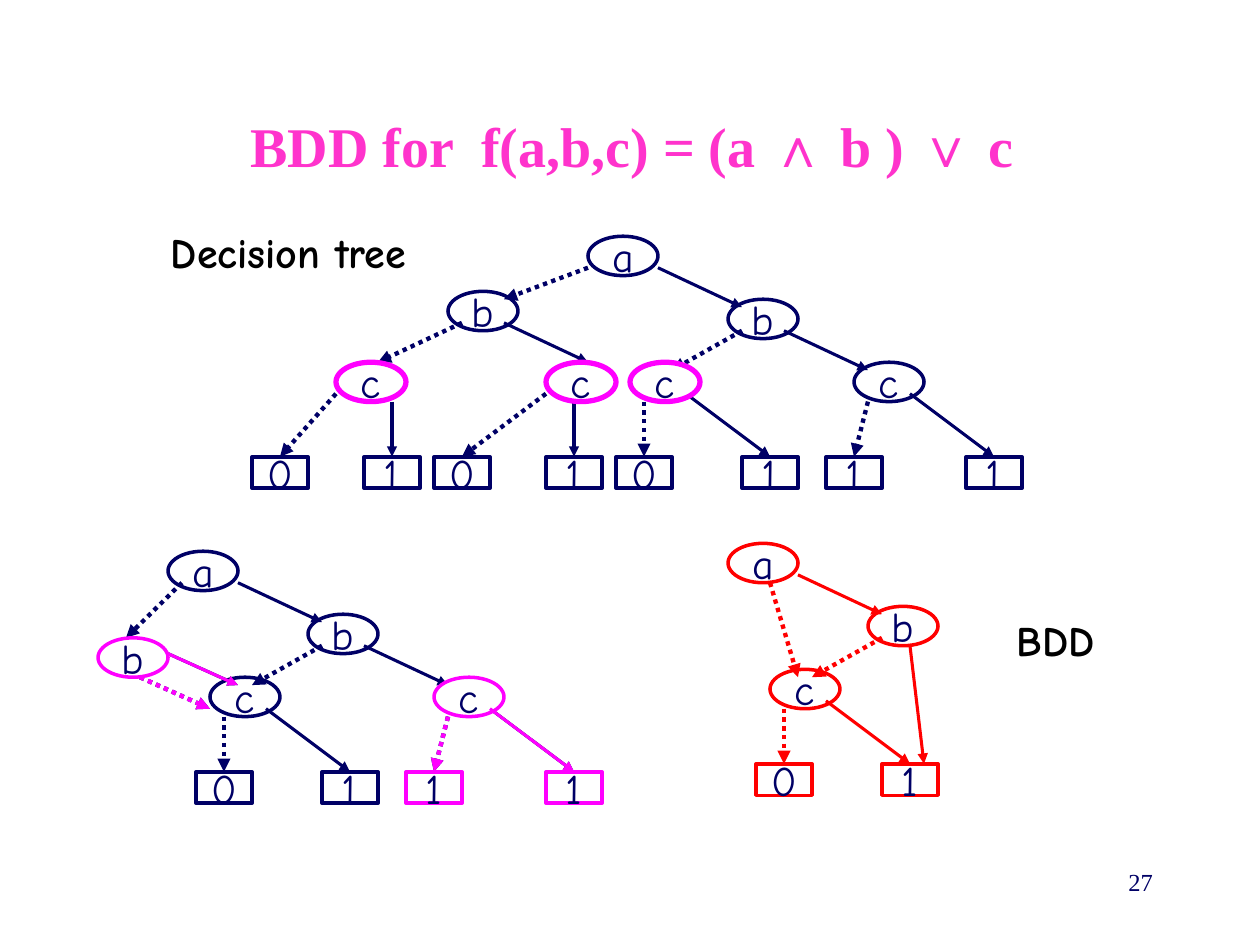
from lxml import etree
from pptx import Presentation
from pptx.dml.color import RGBColor
from pptx.enum.dml import MSO_LINE
from pptx.enum.shapes import MSO_CONNECTOR, MSO_SHAPE
from pptx.enum.text import MSO_ANCHOR, PP_ALIGN
from pptx.oxml.ns import qn
from pptx.util import Cm, Pt

OVAL, RECT = MSO_SHAPE.OVAL, MSO_SHAPE.RECTANGLE
STRAIGHT, DOTTED = MSO_CONNECTOR.STRAIGHT, MSO_LINE.ROUND_DOT
MIDDLE, TOP = MSO_ANCHOR.MIDDLE, MSO_ANCHOR.TOP
CENTER, RIGHT = PP_ALIGN.CENTER, PP_ALIGN.RIGHT

COLORS = {"navy": "000066", "magenta": "FF00FF", "red": "FF0000",
          "title": "FF33CC", "black": "000000", "white": "FFFFFF"}
HAND, SERIF, SANS = "Comic Neue", "Times New Roman", "Arial"

# Diagram grid: 9 columns and 16 rows to each 2.54 cm
COL, ROW = 2.54 / 9, 2.54 / 16
NODE_SIZE, LEAF_SIZE = (5, 5), (4, 4)
LEAF_ROW = 28


def rgb(name):
    return RGBColor.from_string(COLORS[name])


def add_run(p, text, font, size, color, bold=False):
    r = p.add_run()
    r.text = text
    r.font.name, r.font.size, r.font.bold = font, Pt(size), bold
    r.font.color.rgb = rgb(color)


def add_text(s, box, runs, size, color, align=CENTER, bold=False, anchor=TOP):
    tf = s.shapes.add_textbox(*(Cm(v) for v in box)).text_frame
    tf.word_wrap = True
    tf.vertical_anchor = anchor
    p = tf.paragraphs[0]
    p.alignment = align
    for text, font in runs:
        add_run(p, text, font, size, color, bold)


def add_node(s, kind, x, y, size, label, color, width):
    sp = s.shapes.add_shape(kind, Cm(x), Cm(y),
                            Cm(size[0] * COL), Cm(size[1] * ROW))
    sp.shadow.inherit = False
    sp.fill.solid()
    sp.fill.fore_color.rgb = rgb("white")
    sp.line.color.rgb = rgb(color)
    sp.line.width = Pt(width)
    tf = sp.text_frame
    tf.word_wrap = False
    tf.vertical_anchor = MIDDLE
    p = tf.paragraphs[0]
    p.alignment = CENTER
    add_run(p, label, HAND, 24, "navy")


def add_edge(s, x1, y1, x2, y2, color, dotted):
    line = s.shapes.add_connector(STRAIGHT, Cm(x1), Cm(y1), Cm(x2), Cm(y2))
    line.line.color.rgb = rgb(color)
    line.line.width = Pt(2.5 if dotted else 1.75)
    if dotted:
        line.line.dash_style = DOTTED
    etree.SubElement(line.line._get_or_add_ln(), qn("a:tailEnd"), type="triangle")
    etree.SubElement(line._element.spPr, qn("a:effectLst"))


def add_diagram(s, left, top, color, nodes, leaves=(), low=(), high=(), width=2):
    """Draw nodes (label, col, row), leaves (value, col) and edges
    (col, row, col, row); left and top are grid positions."""
    def at(col, row):
        return (left + col) * COL, (top + row) * ROW

    for label, col, row in nodes:
        add_node(s, OVAL, *at(col, row), NODE_SIZE, label, color, width)
    for value, col in leaves:
        add_node(s, RECT, *at(col, LEAF_ROW), LEAF_SIZE, value, color, width)
    for edges, dotted in ((low, True), (high, False)):
        for c1, r1, c2, r2 in edges:
            add_edge(s, *at(c1, r1), *at(c2, r2), color, dotted)


def decision_tree(s, left, top):
    add_diagram(
        s, left, top, "navy",
        nodes=[("a", 24, 0), ("b", 14, 7), ("b", 34, 8), ("c", 43, 16)],
        leaves=[("0", 0), ("1", 8), ("0", 13), ("1", 21),
                ("0", 26), ("1", 35), ("1", 41), ("1", 51)],
        low=[(24, 4, 18, 8), (15, 11, 9, 16), (6, 20, 2, 28), (21, 20, 15, 28),
             (35, 12, 30, 17), (28, 21, 28, 28), (44, 21, 43, 28)],
        high=[(18, 11, 24, 16), (10, 21, 10, 28), (23, 21, 23, 28),
              (29, 4, 35, 9), (38, 12, 44, 17), (31, 20, 37, 28),
              (47, 20, 53, 28)])
    # Equal subtrees to be merged
    add_diagram(s, left, top, "magenta", width=3,
                nodes=[("c", 6, 16), ("c", 21, 16), ("c", 27, 16)])


def reduced_tree(s, left, top):
    redundant_low = [(25, 21, 24, 28), (3, 16, 8, 20)]
    redundant_high = [(28, 20, 34, 28), (5, 13, 10, 17)]
    add_diagram(
        s, left, top, "navy",
        nodes=[("a", 5, 0), ("b", 15, 8), ("c", 8, 16)],
        leaves=[("0", 7), ("1", 16)],
        low=[(6, 4, 2, 11), (16, 12, 11, 17), (9, 21, 9, 28)] + redundant_low,
        high=[(10, 4, 16, 9), (19, 12, 25, 17), (12, 20, 18, 28)]
        + redundant_high)
    # Redundant tests to be removed
    add_diagram(s, left, top, "magenta",
                nodes=[("b", 0, 11), ("c", 24, 16)],
                leaves=[("1", 22), ("1", 32)],
                low=redundant_low, high=redundant_high)


def final_bdd(s, left, top):
    add_diagram(
        s, left, top, "red",
        nodes=[("a", 0, 0), ("b", 10, 8), ("c", 3, 16)],
        leaves=[("0", 2), ("1", 11)],
        low=[(3, 5, 5, 17), (11, 12, 6, 17), (4, 21, 4, 28)],
        high=[(5, 4, 11, 9), (7, 20, 13, 28), (13, 13, 14, 28)])


def main():
    prs = Presentation()
    prs.slide_width, prs.slide_height = Cm(25.4), Cm(19.05)
    s = prs.slides.add_slide(prs.slide_layouts[6])

    # Diagrams
    reduced_tree(s, 7, 70)
    decision_tree(s, 18, 30)
    final_bdd(s, 52, 69)

    # Title, labels and page number
    add_text(s, (1.98, 1.7, 21.51, 2.44),
             [("BDD for  f(a,b,c) = (a ", SERIF), ("∧", SANS), (" b ) ", SERIF),
              ("∨", SANS), (" c", SERIF)],
             32, "title", bold=True, anchor=MIDDLE)
    add_text(s, (2.74, 4.45, 6.15, 1.27), [("Decision tree", HAND)],
             24, "black", bold=True)
    add_text(s, (19.69, 12.27, 3.18, 1.27), [("BDD", HAND)],
             24, "black", bold=True)
    add_text(s, (18.21, 17.35, 5.28, 1.27), [("27", SERIF)],
             14, "navy", align=RIGHT)

    prs.save("out.pptx")


if __name__ == "__main__":
    main()
